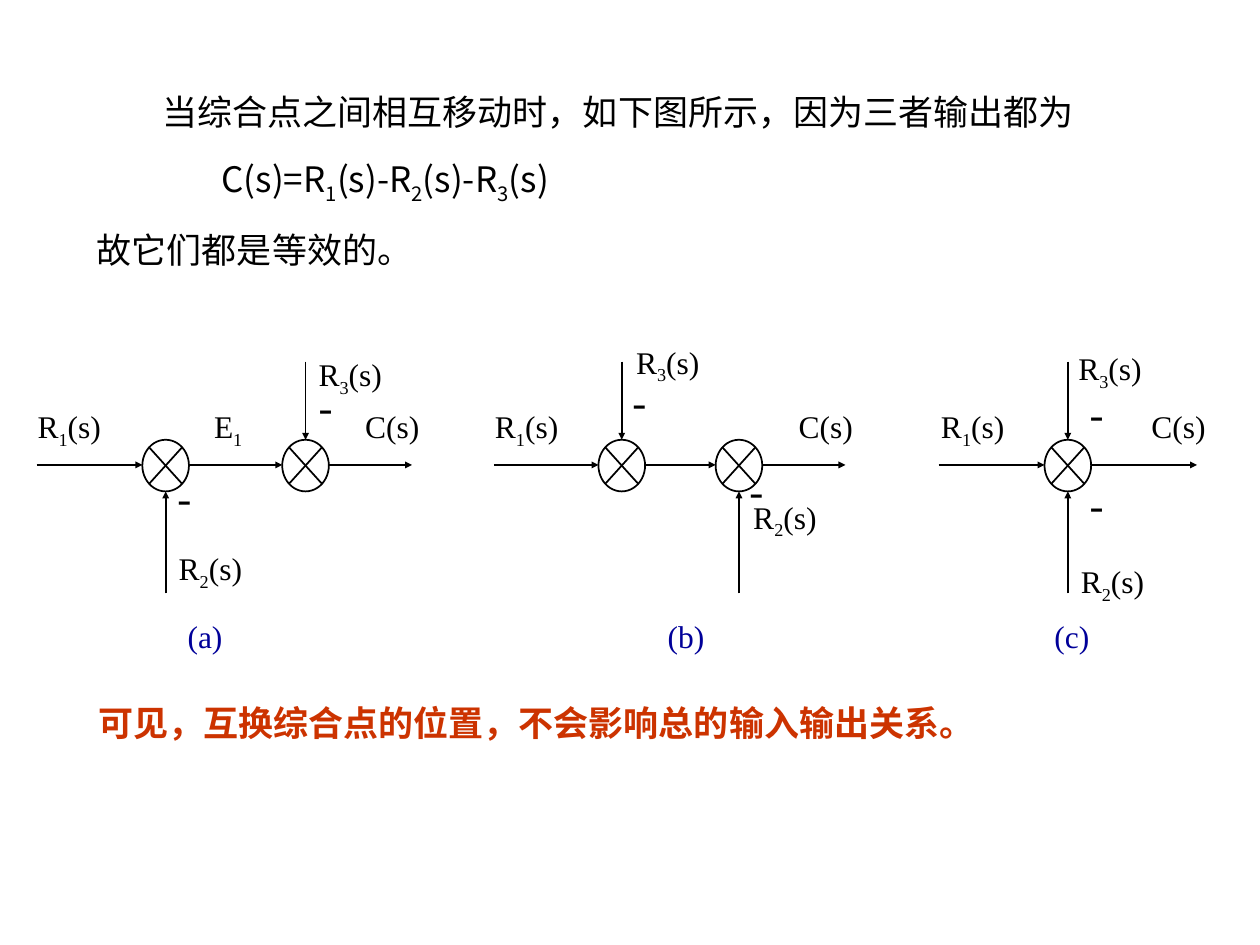
from dataclasses import dataclass
from itertools import groupby

from lxml import etree
from pptx import Presentation
from pptx.dml.color import RGBColor
from pptx.enum.shapes import MSO_CONNECTOR, MSO_SHAPE
from pptx.enum.text import MSO_ANCHOR, PP_ALIGN
from pptx.oxml.ns import qn
from pptx.util import Inches, Pt

STRAIGHT = MSO_CONNECTOR.STRAIGHT
SUMMING_JUNCTION = MSO_SHAPE.FLOWCHART_SUMMING_JUNCTION
TOP = MSO_ANCHOR.TOP
JUSTIFY = PP_ALIGN.JUSTIFY
LEFT = PP_ALIGN.LEFT

SERIF = "Times New Roman"
SANS = "Noto Sans CJK SC"
BLACK, BLUE, RED = "000000", "000099", "CC3300"

AXIS_Y = 3.69
JUNCTION_TOP, JUNCTION_WIDTH, JUNCTION_HEIGHT = 3.49, 0.37, 0.41
JUNCTION_BOTTOM = JUNCTION_TOP + JUNCTION_HEIGHT
FEED_TOP, FEED_BOTTOM = 2.87, 4.71
SIGNAL_TOP, CAPTION_TOP = 3.18, 4.85


@dataclass(frozen=True)
class Junction:
    left: float
    fed_from_above: bool = False
    fed_from_below: bool = False


@dataclass(frozen=True)
class Label:
    text: str
    left: float
    top: float = SIGNAL_TOP
    width: float = 0.8


@dataclass(frozen=True)
class Diagram:
    start: float
    end: float
    junctions: tuple[Junction, ...]
    labels: tuple[Label, ...]
    minus_signs: tuple[tuple[float, float], ...]
    caption: Label


DIAGRAMS = (
    Diagram(
        0.29, 3.27,
        (Junction(1.13, fed_from_below=True), Junction(2.24, fed_from_above=True)),
        (Label("R1(s)", 0.2), Label("E1", 1.6, width=0.52), Label("C(s)", 2.8, width=0.7),
         Label("R2(s)", 1.32, 4.31), Label("R3(s)", 2.43, 2.77)),
        ((1.31, 3.69), (2.43, 2.97)),
        Label("(a)", 1.39, CAPTION_TOP, 0.55),
    ),
    Diagram(
        3.92, 6.71,
        (Junction(4.75, fed_from_above=True), Junction(5.68, fed_from_below=True)),
        (Label("R1(s)", 3.83), Label("C(s)", 6.24, width=0.7),
         Label("R2(s)", 5.88, 3.9), Label("R3(s)", 4.95, 2.67)),
        ((4.92, 2.93), (5.85, 3.64)),
        Label("(b)", 5.2, CAPTION_TOP, 0.55),
    ),
    Diagram(
        7.45, 9.5,
        (Junction(8.29, fed_from_above=True, fed_from_below=True),),
        (Label("R1(s)", 7.37), Label("C(s)", 9.04, width=0.7),
         Label("R2(s)", 8.48, 4.41), Label("R3(s)", 8.46, 2.72)),
        ((8.55, 3.03), (8.55, 3.75)),
        Label("(c)", 8.27, CAPTION_TOP, 0.55),
    ),
)


def color(value: str) -> RGBColor:
    return RGBColor.from_string(value)


def add_frame(slide, left: float, top: float, width: float, height: float):
    shape = slide.shapes.add_textbox(Inches(left), Inches(top), Inches(width), Inches(height))
    frame = shape.text_frame
    frame.word_wrap = True
    frame.vertical_anchor = TOP
    return frame


def add_runs(paragraph, text: str, size: int, font_name: str, text_color: str,
             bold: bool = False) -> None:
    """Add the text as runs, with every digit set as a subscript."""
    for is_digit, characters in groupby(text, str.isdigit):
        run = paragraph.add_run()
        run.text = "".join(characters)
        font = run.font
        font.size = Pt(size)
        font.bold = bold
        font.color.rgb = color(text_color)
        font.name = font_name
        properties = run._r.get_or_add_rPr()
        etree.SubElement(properties, qn("a:ea")).set("typeface", font_name)
        if is_digit:
            properties.set("baseline", "-25000")


def add_label(slide, label: Label, size: int = 18, text_color: str = BLACK) -> None:
    height = 0.5 if size > 18 else 0.4
    frame = add_frame(slide, label.left, label.top, label.width, height)
    add_runs(frame.paragraphs[0], label.text, size, SERIF, text_color)


def add_arrow(slide, x1: float, y1: float, x2: float, y2: float) -> None:
    arrow = slide.shapes.add_connector(STRAIGHT, Inches(x1), Inches(y1), Inches(x2), Inches(y2))
    arrow.line.color.rgb = color(BLACK)
    arrow.line.width = Pt(1)
    head = etree.SubElement(arrow.line._get_or_add_ln(), qn("a:tailEnd"))
    head.set("type", "triangle")
    head.set("w", "sm")
    head.set("len", "sm")
    etree.SubElement(arrow._element.spPr, qn("a:effectLst"))


def add_junction(slide, junction: Junction) -> None:
    """Draw a summing point together with its vertical inputs."""
    shape = slide.shapes.add_shape(
        SUMMING_JUNCTION, Inches(junction.left), Inches(JUNCTION_TOP),
        Inches(JUNCTION_WIDTH), Inches(JUNCTION_HEIGHT))
    shape.shadow.inherit = False
    shape.fill.background()
    shape.line.color.rgb = color(BLACK)
    shape.line.width = Pt(1)
    center = junction.left + JUNCTION_WIDTH / 2
    if junction.fed_from_above:
        add_arrow(slide, center, FEED_TOP, center, JUNCTION_TOP)
    if junction.fed_from_below:
        add_arrow(slide, center, FEED_BOTTOM, center, JUNCTION_BOTTOM)


def add_diagram(slide, diagram: Diagram) -> None:
    start = diagram.start
    for junction in diagram.junctions:
        add_arrow(slide, start, AXIS_Y, junction.left, AXIS_Y)
        add_junction(slide, junction)
        start = junction.left + JUNCTION_WIDTH
    add_arrow(slide, start, AXIS_Y, diagram.end, AXIS_Y)
    for label in diagram.labels:
        add_label(slide, label)
    for left, top in diagram.minus_signs:
        add_label(slide, Label("-", left, top, 0.4), size=24)
    add_label(slide, diagram.caption, text_color=BLUE)


def add_introduction(slide) -> None:
    frame = add_frame(slide, 0.67, 0.42, 8.33, 2.5)
    frame.margin_top = Inches(0.2)
    lines = (
        ("当综合点之间相互移动时，如下图所示，因为三者输出都为", 0.52),
        ("C(s)=R1(s)-R2(s)-R3(s)", 0.99),
        ("故它们都是等效的。", 0),
    )
    for index, (text, indent) in enumerate(lines):
        paragraph = frame.add_paragraph() if index else frame.paragraphs[0]
        paragraph.alignment = JUSTIFY
        paragraph.line_spacing = 1.3
        paragraph.space_before = Pt(6 if index else 0)
        paragraph._p.get_or_add_pPr().set("indent", str(Inches(indent)))
        add_runs(paragraph, text, 20, SANS, BLACK)


def add_conclusion(slide) -> None:
    frame = add_frame(slide, 0.68, 5.42, 7.4, 0.54)
    paragraph = frame.paragraphs[0]
    paragraph.alignment = LEFT
    paragraph.line_spacing = 1.3
    add_runs(paragraph, "可见，互换综合点的位置，不会影响总的输入输出关系。", 20, SANS, RED, bold=True)


def main() -> None:
    presentation = Presentation()
    presentation.slide_width = Inches(10)
    presentation.slide_height = Inches(7.5)
    slide = presentation.slides.add_slide(presentation.slide_layouts[6])
    add_introduction(slide)
    for diagram in DIAGRAMS:
        add_diagram(slide, diagram)
    add_conclusion(slide)
    presentation.save("out.pptx")


if __name__ == "__main__":
    main()
